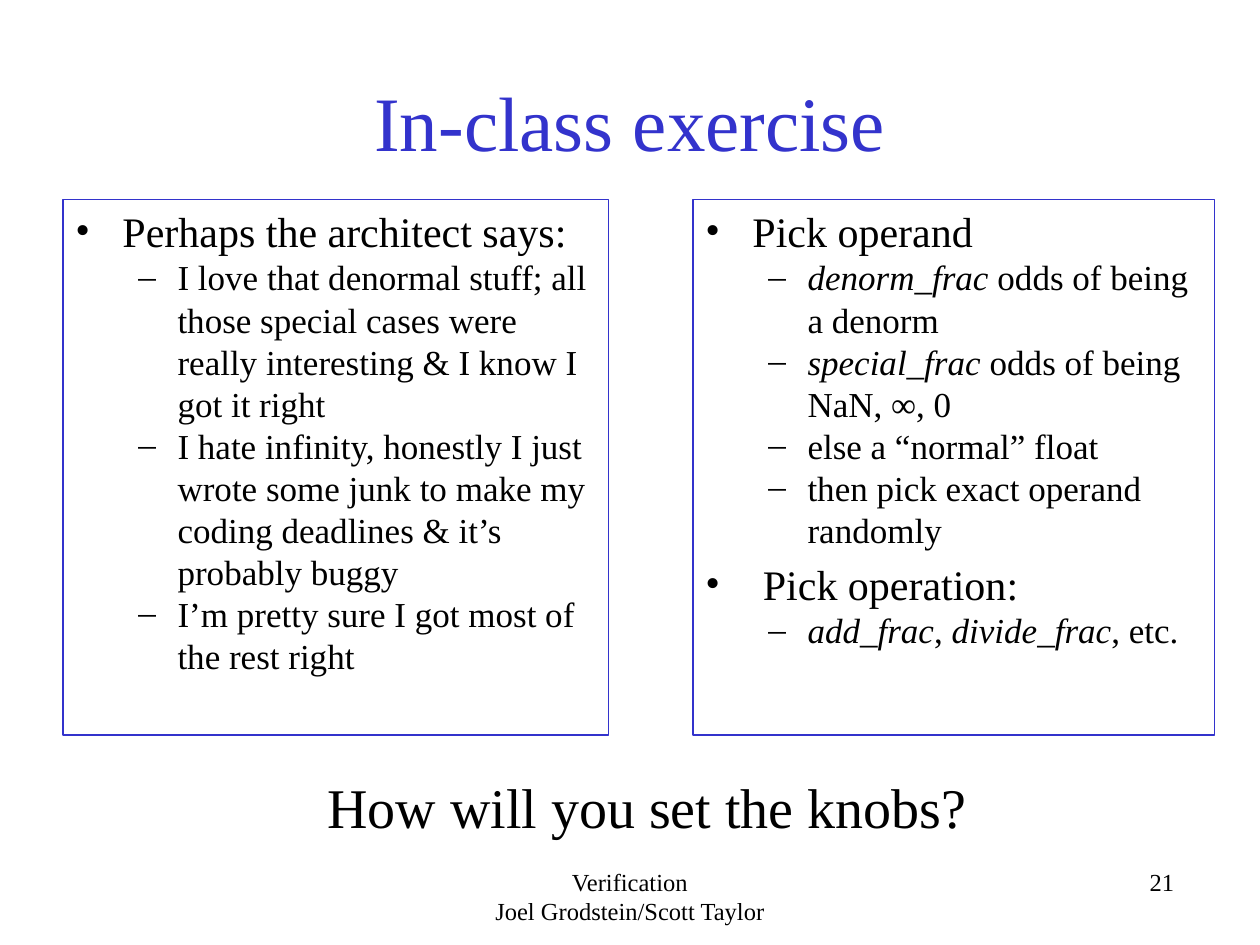
from dataclasses import dataclass

from lxml import etree
from pptx import Presentation
from pptx.dml.color import RGBColor
from pptx.enum import shapes, text
from pptx.oxml import ns
from pptx.util import Cm, Pt

FONT = "Times New Roman"
BLUE = RGBColor(0x33, 0x33, 0xCC)
BLACK = RGBColor(0, 0, 0)
LEFT, CENTER, RIGHT = text.PP_ALIGN.LEFT, text.PP_ALIGN.CENTER, text.PP_ALIGN.RIGHT
TOP, MIDDLE = text.MSO_ANCHOR.TOP, text.MSO_ANCHOR.MIDDLE
PANEL_TOP, PANEL_HEIGHT = 4.02, 10.8
FOOTER_TOP, FOOTER_WIDTH, FOOTER_HEIGHT = 17.35, 8.04, 1.27


@dataclass(frozen=True)
class Level:
    bullet: str
    size: int
    margin: float
    hanging: float
    space_before: float


@dataclass(frozen=True)
class Item:
    level: Level
    words: str
    extra_gap: float = 0


@dataclass(frozen=True)
class Panel:
    left: float
    width: float
    items: tuple[Item, ...]


TOPIC = Level("•", 24, 0.95, 0.95, 4.8)
DETAIL = Level("–", 20, 2.06, 0.79, 0)

PANELS = (
    Panel(1.27, 11, (
        Item(TOPIC, "Perhaps the architect says:"),
        Item(DETAIL, "I love that denormal stuff; all those special cases were "
                     "really interesting & I know I got it right"),
        Item(DETAIL, "I hate infinity, honestly I just wrote some junk to make my "
                     "coding deadlines & it’s probably buggy"),
        Item(DETAIL, "I’m pretty sure I got most of the rest right"),
    )),
    Panel(13.97, 10.52, (
        Item(TOPIC, "Pick operand"),
        Item(DETAIL, "*denorm_frac *odds of being a denorm"),
        Item(DETAIL, "*special_frac *odds of being NaN, ∞, 0"),
        Item(DETAIL, "else a “normal” float"),
        Item(DETAIL, "then pick exact operand randomly"),
        Item(TOPIC, "Pick operation:", extra_gap=0.21),
        Item(DETAIL, "*add_frac*, *divide_frac*, etc."),
    )),
)


def write(paragraph, words: str, *, size: float, color=BLACK, align=LEFT) -> None:
    """Fill a paragraph; stretches between asterisks are italic."""
    paragraph.alignment = align
    for index, part in enumerate(words.split("*")):
        if part:
            run = paragraph.add_run()
            run.text = part
            run.font.name = FONT
            run.font.size = Pt(size)
            run.font.color.rgb = color
            run.font.italic = index % 2 == 1


def add_label(slide, left: float, top: float, width: float, height: float,
              *lines: str, anchor=TOP, **text_format) -> None:
    frame = slide.shapes.add_textbox(Cm(left), Cm(top), Cm(width), Cm(height)).text_frame
    frame.word_wrap = True
    frame.vertical_anchor = anchor
    for index, line in enumerate(lines):
        paragraph = frame.add_paragraph() if index else frame.paragraphs[0]
        write(paragraph, line, **text_format)


def set_bullet(paragraph, item: Item) -> None:
    properties = paragraph._p.get_or_add_pPr()
    level = item.level
    properties.set("marL", str(Cm(level.margin + item.extra_gap)))
    properties.set("indent", str(-Cm(level.hanging + item.extra_gap)))
    etree.SubElement(properties, ns.qn("a:buFont"), typeface=FONT)
    etree.SubElement(properties, ns.qn("a:buChar"), char=level.bullet)


def add_panel(slide, panel: Panel) -> None:
    box = slide.shapes.add_shape(shapes.MSO_SHAPE.RECTANGLE, Cm(panel.left),
                                 Cm(PANEL_TOP), Cm(panel.width), Cm(PANEL_HEIGHT))
    box.shadow.inherit = False
    box.fill.background()
    box.line.color.rgb = BLUE
    box.line.width = Pt(0.75)
    frame = box.text_frame
    frame.word_wrap = True
    frame.vertical_anchor = TOP
    for index, item in enumerate(panel.items):
        paragraph = frame.add_paragraph() if index else frame.paragraphs[0]
        set_bullet(paragraph, item)
        paragraph.level = 1 if item.level is DETAIL else 0
        paragraph.space_before = Pt(item.level.space_before if index else 0)
        write(paragraph, item.words, size=item.level.size)


def main() -> None:
    deck = Presentation()
    deck.slide_width, deck.slide_height = Cm(25.4), Cm(19.05)
    slide = deck.slides.add_slide(deck.slide_layouts[6])

    add_label(slide, 1.9, 0.85, 21.6, 3.18, "In-class exercise",
              size=44, color=BLUE, align=CENTER, anchor=MIDDLE)
    for panel in PANELS:
        add_panel(slide, panel)
    add_label(slide, 6.35, 15.45, 13.97, 1.62, "How will you set the knobs?", size=32)
    add_label(slide, 8.68, FOOTER_TOP, FOOTER_WIDTH, FOOTER_HEIGHT,
              "Verification", "Joel Grodstein/Scott Taylor", size=14, align=CENTER)
    add_label(slide, 15.88, FOOTER_TOP, FOOTER_WIDTH, FOOTER_HEIGHT,
              "21", size=14, align=RIGHT)

    deck.save("out.pptx")


if __name__ == "__main__":
    main()
